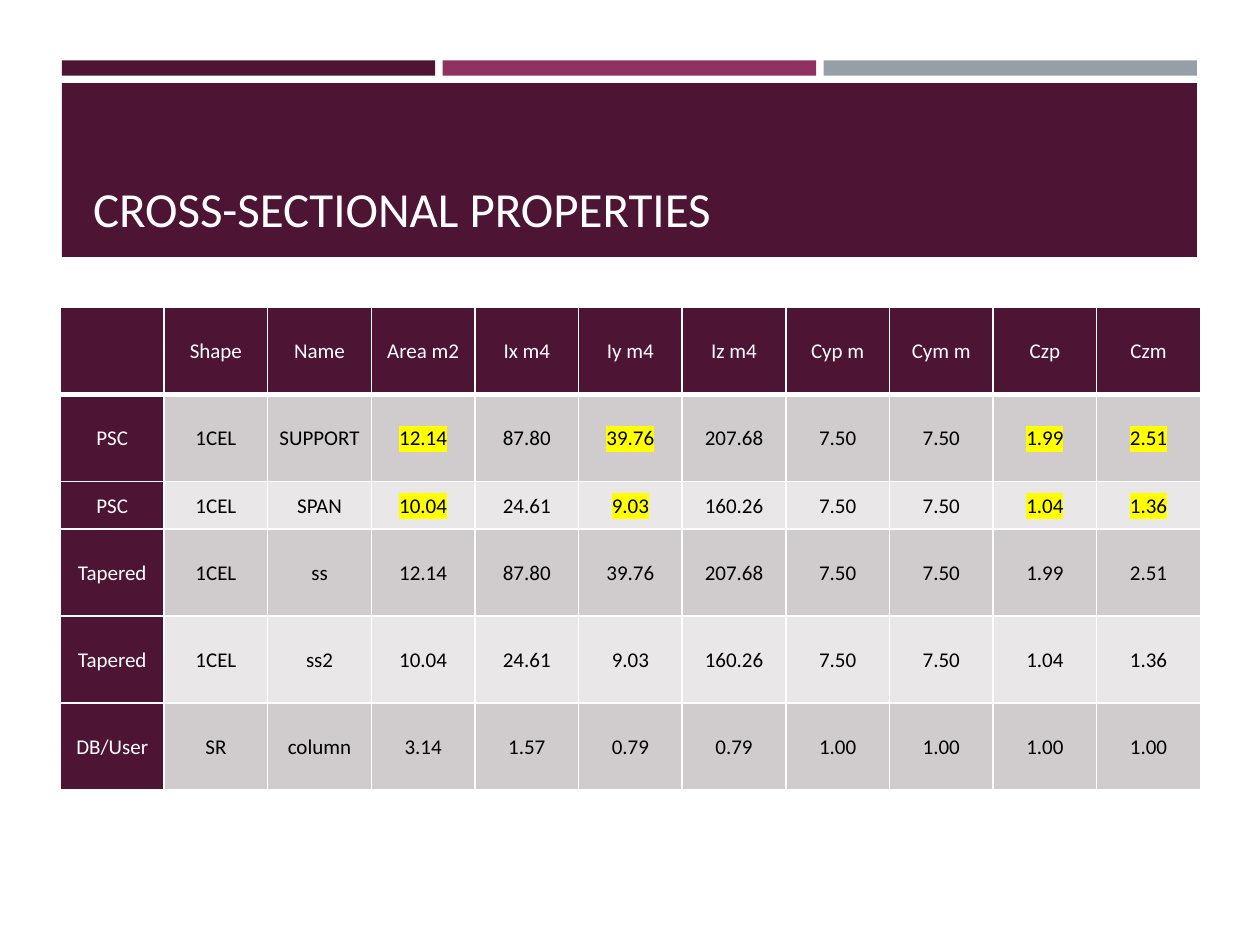
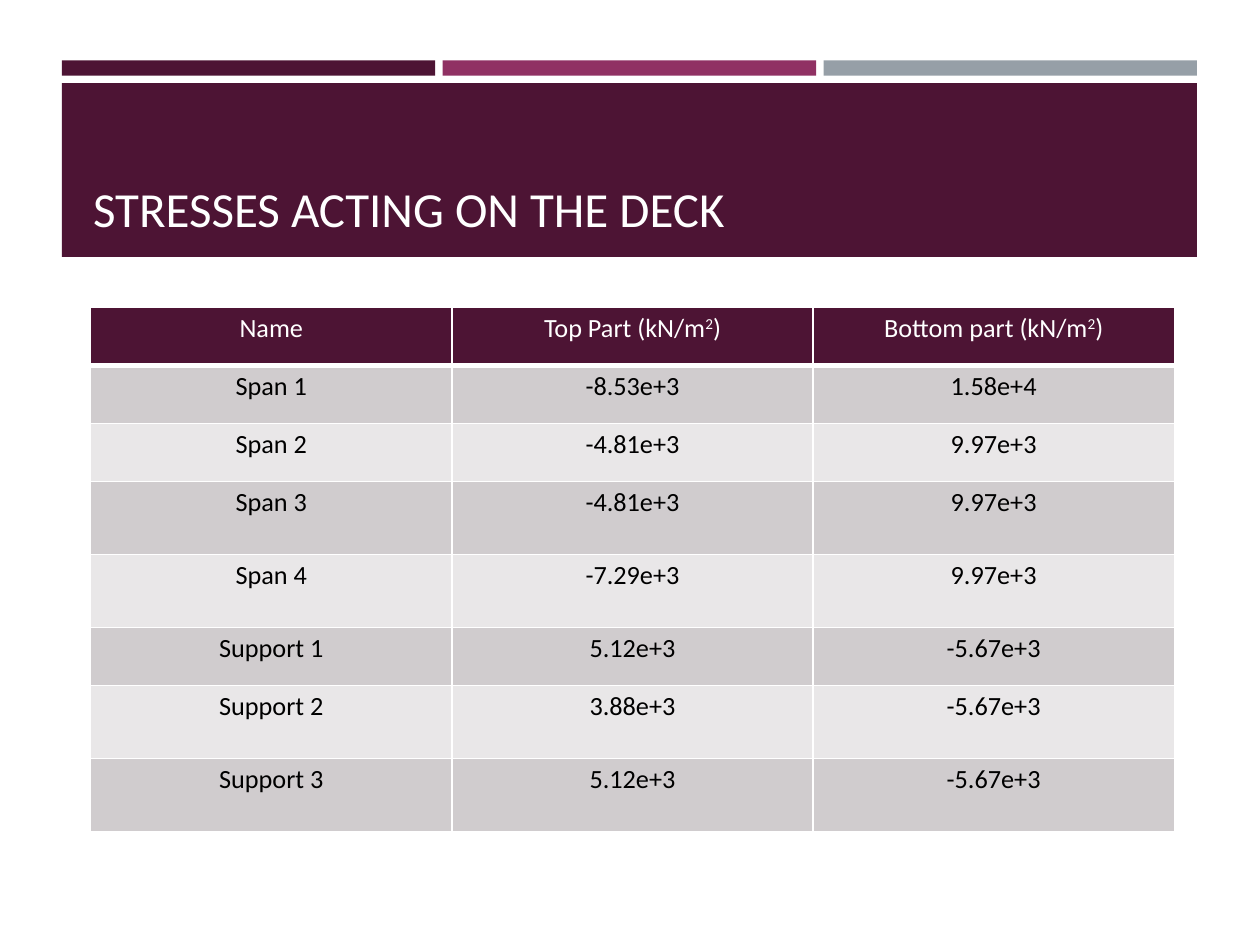
from dataclasses import dataclass

from lxml import etree
from pptx import Presentation
from pptx.dml.color import RGBColor
from pptx.enum.shapes import MSO_SHAPE
from pptx.enum.text import MSO_ANCHOR, PP_ALIGN
from pptx.oxml.ns import qn
from pptx.util import Inches, Pt

RECTANGLE = MSO_SHAPE.RECTANGLE
CENTER = PP_ALIGN.CENTER
TOP, MIDDLE, BOTTOM = MSO_ANCHOR.TOP, MSO_ANCHOR.MIDDLE, MSO_ANCHOR.BOTTOM


@dataclass(frozen=True)
class Theme:
    font: str = "Calibri"
    plum: str = "4D1434"
    berry: str = "903163"
    steel: str = "969FA7"
    white: str = "FFFFFF"
    black: str = "000000"
    row_dark: str = "D0CCCE"
    row_light: str = "E9E7E8"
    marker: str = "FFFF00"
    title_size: int = 28
    border: int = 1
    header_border: int = 3


@dataclass(frozen=True)
class TableStyle:
    size: int
    anchor: MSO_ANCHOR
    margin_x: float
    margin_y: float
    line_spacing: float = 1.0
    row_heads: bool = False


class Deck:
    def __init__(self, theme):
        self.theme = theme
        self.presentation = Presentation()
        self.presentation.slide_width = Inches(10)
        self.presentation.slide_height = Inches(7.5)
        self.page = None

    def add_page(self, title):
        """Start a page with the three bands, the title block and its title."""
        self.page = self.presentation.slides.add_slide(self.presentation.slide_layouts[6])
        left, width, gap = 0.49, 9.01, 0.06
        band_width = (width - 2 * gap) / 3
        colors = (self.theme.plum, self.theme.berry, self.theme.steel)
        for index, color in enumerate(colors):
            self.add_block(left + index * (band_width + gap), 0.48, band_width, 0.12, color)
        self.add_block(left, 0.66, width, 1.38, self.theme.plum)
        self.add_title(title)

    def add_block(self, left, top, width, height, color):
        block = self.page.shapes.add_shape(
            RECTANGLE, Inches(left), Inches(top), Inches(width), Inches(height))
        block.shadow.inherit = False
        block.fill.solid()
        block.fill.fore_color.rgb = RGBColor.from_string(color)
        block.line.fill.background()

    def add_title(self, text):
        box = self.page.shapes.add_textbox(
            Inches(0.64), Inches(0.75), Inches(8.74), Inches(1.18))
        frame = box.text_frame
        frame.word_wrap = True
        frame.vertical_anchor = BOTTOM
        frame.text = text
        self.format_span(frame.paragraphs[0].runs[0], self.theme.title_size, self.theme.white)

    def format_span(self, span, size, color):
        span.font.name = self.theme.font
        span.font.size = Pt(size)
        span.font.color.rgb = RGBColor.from_string(color)

    def add_table(self, left, top, width, row_heights, rows, style, marked=()):
        """Draw rows of text; marked holds the (row, column) pairs to highlight."""
        columns = len(rows[0])
        table = self.page.shapes.add_table(
            len(rows), columns, Inches(left), Inches(top),
            Inches(width), Inches(sum(row_heights))).table
        for column in table.columns:
            column.width = Inches(width / columns)
        for row, height in zip(table.rows, row_heights):
            row.height = Inches(height)
        for r, texts in enumerate(rows):
            for c, text in enumerate(texts):
                is_head = r == 0 or (style.row_heads and c == 0)
                band = self.theme.row_dark if r % 2 else self.theme.row_light
                cell = table.cell(r, c)
                self.set_borders(cell, r == 0)
                cell.fill.solid()
                cell.fill.fore_color.rgb = RGBColor.from_string(
                    self.theme.plum if is_head else band)
                color = self.theme.white if is_head else self.theme.black
                self.set_cell_text(cell, text, style, color)
                if (r, c) in marked:
                    self.highlight(cell.text_frame.paragraphs[0].runs[0])

    def set_cell_text(self, cell, text, style, color):
        """Write the text; a part between two ^ signs is raised."""
        cell.vertical_anchor = style.anchor
        cell.margin_left = cell.margin_right = Inches(style.margin_x)
        cell.margin_top = cell.margin_bottom = Inches(style.margin_y)
        para = cell.text_frame.paragraphs[0]
        para.alignment = CENTER
        para.line_spacing = style.line_spacing
        if not text:
            return
        for index, part in enumerate(text.split("^")):
            span = para.add_run()
            span.text = part
            self.format_span(span, style.size, color)
            if index % 2:
                span.font._element.set("baseline", "30000")

    def set_borders(self, cell, is_header):
        properties = cell._tc.get_or_add_tcPr()
        for side in ("lnL", "lnR", "lnT", "lnB"):
            thick = is_header and side == "lnB"
            points = self.theme.header_border if thick else self.theme.border
            line = etree.SubElement(properties, qn(f"a:{side}"), w=str(Pt(points)))
            fill = etree.SubElement(line, qn("a:solidFill"))
            etree.SubElement(fill, qn("a:srgbClr"), val=self.theme.white)

    def highlight(self, span):
        marker = etree.Element(qn("a:highlight"))
        etree.SubElement(marker, qn("a:srgbClr"), val=self.theme.marker)
        span.font._element.find(qn("a:solidFill")).addnext(marker)


SECTION_ROWS = [
    ["", "Shape", "Name", "Area m2", "Ix m4", "Iy m4", "Iz m4", "Cyp m", "Cym m", "Czp", "Czm"],
    ["PSC", "1CEL", "SUPPORT", "12.14", "87.80", "39.76", "207.68", "7.50", "7.50", "1.99", "2.51"],
    ["PSC", "1CEL", "SPAN", "10.04", "24.61", "9.03", "160.26", "7.50", "7.50", "1.04", "1.36"],
    ["Tapered", "1CEL", "ss", "12.14", "87.80", "39.76", "207.68", "7.50", "7.50", "1.99", "2.51"],
    ["Tapered", "1CEL", "ss2", "10.04", "24.61", "9.03", "160.26", "7.50", "7.50", "1.04", "1.36"],
    ["DB/User", "SR", "column", "3.14", "1.57", "0.79", "0.79", "1.00", "1.00", "1.00", "1.00"],
]
STRESS_ROWS = [
    ["Name", "Top Part (kN/m^2^)", "Bottom part (kN/m^2^)"],
    ["Span 1", "-8.53e+3", "1.58e+4"],
    ["Span 2", "-4.81e+3", "9.97e+3"],
    ["Span 3", "-4.81e+3", "9.97e+3"],
    ["Span 4", "-7.29e+3", "9.97e+3"],
    ["Support 1", "5.12e+3", "-5.67e+3"],
    ["Support 2", "3.88e+3", "-5.67e+3"],
    ["Support 3", "5.12e+3", "-5.67e+3"],
]


def main():
    deck = Deck(Theme())

    # Cross-sections: area, Iy, Czp and Czm of the PSC rows are highlighted
    deck.add_page("CROSS-SECTIONAL PROPERTIES")
    section_style = TableStyle(12, MIDDLE, 0.06, 0, line_spacing=1.07, row_heads=True)
    marked = {(row, column) for row in (1, 2) for column in (3, 5, 9, 10)}
    deck.add_table(0.48, 2.44, 9.05, [0.69, 0.69, 0.38, 0.69, 0.69, 0.69],
                   SECTION_ROWS, section_style, marked)

    # Stresses at the top and bottom of the deck
    deck.add_page("STRESSES ACTING ON THE DECK")
    stress_style = TableStyle(15, TOP, 0.07, 0.04)
    low, high = 0.46, 0.58
    deck.add_table(0.72, 2.44, 8.6, [low, low, low, high, high, low, high, high],
                   STRESS_ROWS, stress_style)

    deck.presentation.save("out.pptx")


if __name__ == "__main__":
    main()
